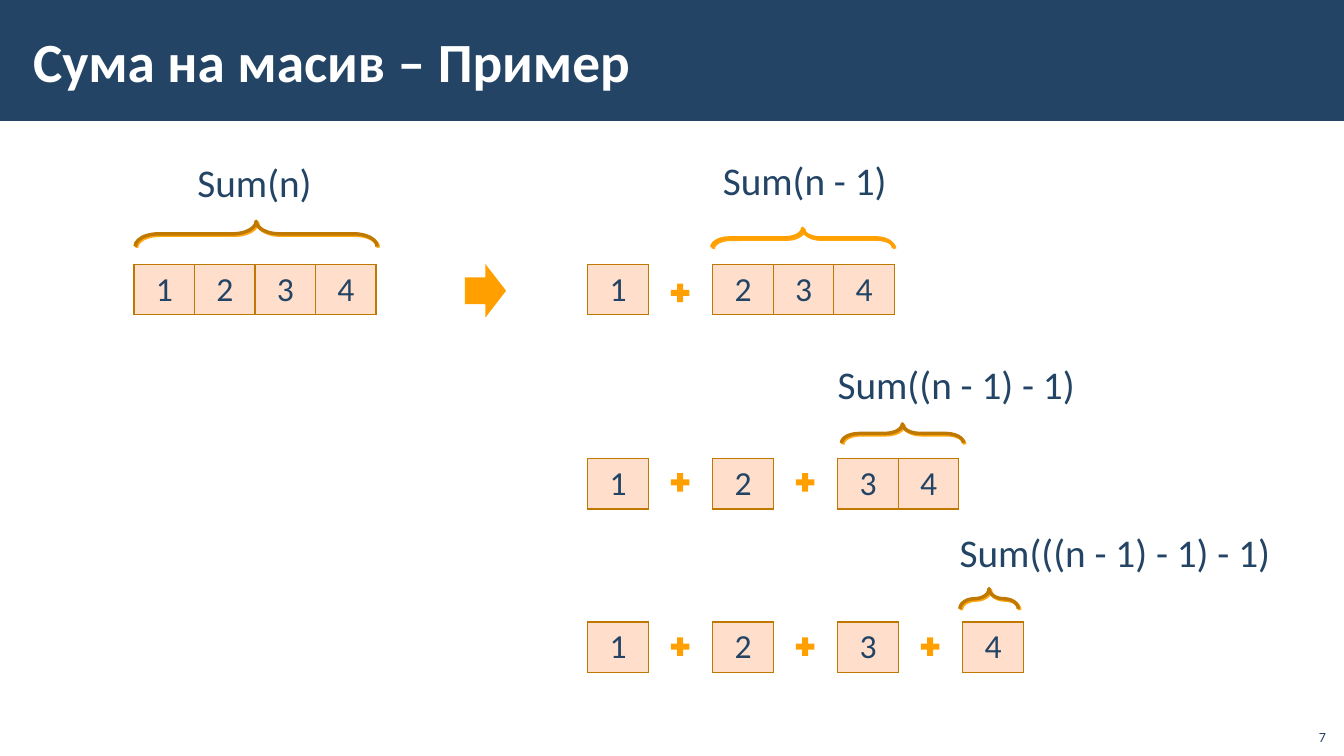
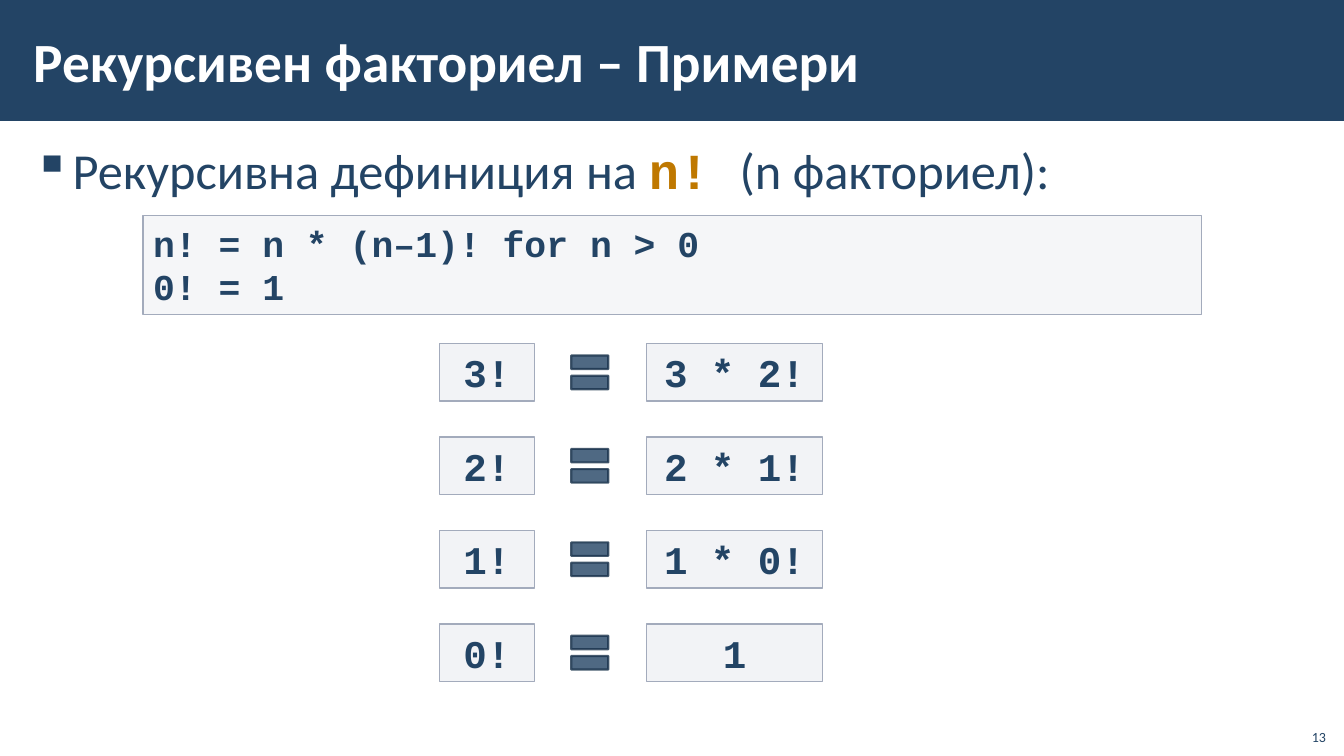
"""Build two slides on recursion: summing an array and the factorial."""
from dataclasses import dataclass

from lxml.etree import SubElement
from pptx import Presentation
from pptx.dml.color import RGBColor
from pptx.enum.shapes import MSO_SHAPE
from pptx.enum.text import MSO_ANCHOR, MSO_AUTO_SIZE, PP_ALIGN
from pptx.oxml.ns import qn
from pptx.presentation import Presentation as Deck
from pptx.shapes.autoshape import Shape
from pptx.slide import Slide
from pptx.table import _Cell
from pptx.text.text import TextFrame, _Paragraph
from pptx.util import Inches, Pt

NAVY = RGBColor(0x23, 0x44, 0x65)
DARK_NAVY = RGBColor(0x1A, 0x33, 0x4C)
WHITE = RGBColor(0xFF, 0xFF, 0xFF)
ORANGE = RGBColor(0xFF, 0xA0, 0x00)
GLOW = RGBColor(0xFF, 0xA6, 0x10)
BROWN = RGBColor(0xBF, 0x78, 0x00)
PEACH = RGBColor(0xFF, 0xDF, 0xCC)
GREY = RGBColor(0xC2, 0xC7, 0xD2)
GREY_LINE = RGBColor(0xA3, 0xAB, 0xBC)

TEXT_FONT = "Calibri"
CODE_FONT = "Courier New"

CELL_WIDTH, CELL_HEIGHT = 0.6, 0.5
STEP_LEFT, STEP_PITCH = 5.83, 1.24
PLUS_OFFSET, PLUS_SIZE = 0.79, 0.25


@dataclass(frozen=True)
class Box:
    """Hold a rectangle in inches."""
    left: float
    top: float
    width: float
    height: float

    def lengths(self) -> tuple[Inches, Inches, Inches, Inches]:
        """Return the rectangle as lengths."""
        return Inches(self.left), Inches(self.top), Inches(self.width), Inches(self.height)


@dataclass(frozen=True)
class Brace:
    """Describe a labelled brace by its centre, span and depth."""
    label: str
    label_box: Box
    centre_x: float
    centre_y: float
    span: float
    depth: float
    color: RGBColor = BROWN


@dataclass(frozen=True)
class Step:
    """Describe one row of added cell groups."""
    top: float
    plus_top: float
    groups: tuple[str, ...]


BRACES = (
    Brace("Sum(n)", Box(1.86, 1.52, 1.35, 0.57), 2.54, 2.32, 2.4, 0.25),
    Brace("Sum(n - 1)", Box(7.07, 1.5, 1.85, 0.57), 7.96, 2.36, 1.8, 0.19, ORANGE),
    Brace("Sum((n - 1) - 1)", Box(8.21, 3.53, 2.66, 0.57), 8.95, 4.3, 1.21, 0.19),
    Brace("Sum(((n - 1) - 1) - 1)", Box(9.42, 5.19, 3.4, 0.57), 9.81, 5.94, 0.58, 0.2),
)
STEPS = (
    Step(2.62, 2.78, ("1", "234")),
    Step(4.55, 4.66, ("1", "2", "34")),
    Step(6.17, 6.29, ("1", "2", "3", "4")),
)
FACTORIALS = (("3!", "3 * 2!"), ("2!", "2 * 1!"), ("1!", "1 * 0!"), ("0!", "1"))
FACTORIAL_TOP, FACTORIAL_LAST = 3.41, 6.19


def style_paragraph(paragraph: _Paragraph, size: float, color: RGBColor = NAVY,
                    font: str = TEXT_FONT, bold: bool = False) -> None:
    """Set the font of a paragraph."""
    paragraph.font.size = Pt(size)
    paragraph.font.name = font
    paragraph.font.bold = bold
    paragraph.font.color.rgb = color


def add_text(slide: Slide, box: Box, text: str, size: float, color: RGBColor = NAVY,
             bold: bool = False, wrap: bool = True, align: PP_ALIGN = PP_ALIGN.LEFT,
             anchor: MSO_ANCHOR = MSO_ANCHOR.TOP) -> TextFrame:
    """Add a text box with one paragraph."""
    frame = slide.shapes.add_textbox(*box.lengths()).text_frame
    frame.word_wrap = wrap
    frame.vertical_anchor = anchor
    paragraph = frame.paragraphs[0]
    paragraph.text = text
    paragraph.alignment = align
    style_paragraph(paragraph, size, color, bold=bold)
    return frame


def set_wide_margins(frame: TextFrame) -> None:
    """Set the margins shared by titles and body text."""
    frame.margin_left = frame.margin_right = Inches(0.12)
    frame.margin_top = frame.margin_bottom = Inches(0.04)


def set_opacity(shape: Shape, percent: int) -> None:
    """Make the fill of a shape partly transparent."""
    color = shape._element.spPr.find(qn("a:solidFill")).find(qn("a:srgbClr"))
    SubElement(color, qn("a:alpha"), val=str(percent * 1000))


def add_solid(slide: Slide, kind: MSO_SHAPE, box: Box, fill: RGBColor) -> Shape:
    """Add a filled shape without outline or shadow."""
    shape = slide.shapes.add_shape(kind, *box.lengths())
    shape.shadow.inherit = False
    shape.fill.solid()
    shape.fill.fore_color.rgb = fill
    shape.line.fill.background()
    return shape


def add_slide(presentation: Deck, title: str, number: int) -> Slide:
    """Add a slide with its band, title and number."""
    slide = presentation.slides.add_slide(presentation.slide_layouts[6])
    add_solid(slide, MSO_SHAPE.RECTANGLE, Box(0, 0, 13.33, 1.2), NAVY)
    frame = add_text(slide, Box(0.21, 0.11, 11.23, 0.97), title, 39.5, WHITE,
                     bold=True, anchor=MSO_ANCHOR.MIDDLE)
    set_wide_margins(frame)
    add_text(slide, Box(12.85, 7.12, 0.4, 0.32), str(number), 10,
             align=PP_ALIGN.RIGHT, anchor=MSO_ANCHOR.BOTTOM)
    return slide


def add_cell_borders(cell: _Cell) -> None:
    """Draw a thin border on all four sides of a cell."""
    properties = cell._tc.get_or_add_tcPr()
    for position, side in enumerate(("a:lnL", "a:lnR", "a:lnT", "a:lnB")):
        line = SubElement(properties, qn(side), w=str(Pt(1)))
        fill = SubElement(line, qn("a:solidFill"))
        SubElement(fill, qn("a:srgbClr"), val=str(BROWN))
        properties.insert(position, line)


def add_array(slide: Slide, left: float, top: float, values: str) -> None:
    """Add a one-row table with one cell for each value."""
    box = Box(left, top, CELL_WIDTH * len(values), CELL_HEIGHT)
    table = slide.shapes.add_table(1, len(values), *box.lengths()).table
    table.first_row = False
    table.horz_banding = False
    for cell, value in zip(table.iter_cells(), values):
        cell.fill.solid()
        cell.fill.fore_color.rgb = PEACH
        add_cell_borders(cell)
        paragraph = cell.text_frame.paragraphs[0]
        paragraph.text = value
        paragraph.alignment = PP_ALIGN.CENTER
        style_paragraph(paragraph, 24)


def add_brace(slide: Slide, brace: Brace) -> None:
    """Add an upward brace with a hard shadow and its label."""
    box = Box(brace.centre_x - brace.depth / 2, brace.centre_y - brace.span / 2,
              brace.depth, brace.span)
    shape = slide.shapes.add_shape(MSO_SHAPE.LEFT_BRACE, *box.lengths())
    shape.rotation = 90
    shape.adjustments[0] = 0.919
    shape.fill.background()
    shape.line.color.rgb = brace.color
    shape.line.width = Pt(2.5)
    shape.shadow.inherit = False
    effects = shape._element.spPr.find(qn("a:effectLst"))
    shadow = SubElement(effects, qn("a:outerShdw"), blurRad="0", dist=str(Pt(1.4)),
                        dir="2700000", algn="tl", rotWithShape="0")
    SubElement(shadow, qn("a:srgbClr"), val=str(GLOW))
    frame = add_text(slide, brace.label_box, brace.label, 28, wrap=False)
    frame.auto_size = MSO_AUTO_SIZE.SHAPE_TO_FIT_TEXT


def add_step(slide: Slide, step: Step) -> None:
    """Add the arrays of a step with plus signs between them."""
    for index, values in enumerate(step.groups):
        left = STEP_LEFT + index * STEP_PITCH
        add_array(slide, left, step.top, values)
        if index < len(step.groups) - 1:
            box = Box(left + PLUS_OFFSET, step.plus_top, PLUS_SIZE, PLUS_SIZE)
            add_solid(slide, MSO_SHAPE.MATH_PLUS, box, ORANGE)


def add_code(slide: Slide, box: Box, lines: tuple[str, ...], size: float, opacity: int,
             align: PP_ALIGN = PP_ALIGN.CENTER) -> None:
    """Add a pale outlined box of code."""
    shape = add_solid(slide, MSO_SHAPE.RECTANGLE, box, GREY)
    set_opacity(shape, opacity)
    shape.line.color.rgb = GREY_LINE
    shape.line.width = Pt(1)
    frame = shape.text_frame
    frame.word_wrap = True
    frame.vertical_anchor = MSO_ANCHOR.TOP
    frame.text = "\n".join(lines)
    for paragraph in frame.paragraphs:
        paragraph.alignment = align
        style_paragraph(paragraph, size, font=CODE_FONT, bold=True)


def add_equals(slide: Slide, box: Box) -> None:
    """Add a translucent equals sign."""
    shape = add_solid(slide, MSO_SHAPE.MATH_EQUAL, box, NAVY)
    set_opacity(shape, 80)
    shape.line.color.rgb = DARK_NAVY
    shape.line.width = Pt(1.5)
    color = shape.line._ln.find(qn("a:solidFill")).find(qn("a:srgbClr"))
    SubElement(color, qn("a:alpha"), val="80000")


def add_definition(slide: Slide) -> None:
    """Add the bulleted line that introduces the definition."""
    frame = slide.shapes.add_textbox(*Box(0.21, 1.31, 12.92, 0.8).lengths()).text_frame
    frame.word_wrap = True
    set_wide_margins(frame)
    paragraph = frame.paragraphs[0]
    paragraph.line_spacing = 1.05
    paragraph.space_after = Pt(6)
    properties = paragraph._p.get_or_add_pPr()
    properties.set("marL", str(Inches(0.39)))
    properties.set("indent", str(-Inches(0.39)))
    SubElement(properties, qn("a:buChar"), char="▪")
    style_paragraph(paragraph, 36)
    for text, is_code in (("Рекурсивна дефиниция на ", False), ("n! ", True),
                          ("(n факториел):", False)):
        run = paragraph.add_run()
        run.text = text
        if is_code:
            run.font.name = CODE_FONT
            run.font.bold = True
            run.font.color.rgb = BROWN


def build_sum_slide(presentation: Deck) -> None:
    """Build the slide that sums an array step by step."""
    slide = add_slide(presentation, "Сума на масив – Пример", 7)
    add_array(slide, 1.33, 2.62, "1234")
    add_solid(slide, MSO_SHAPE.RIGHT_ARROW, Box(4.61, 2.62, 0.41, 0.53), ORANGE)
    for step in STEPS:
        add_step(slide, step)
    for brace in BRACES:
        add_brace(slide, brace)


def build_factorial_slide(presentation: Deck) -> None:
    """Build the slide that unfolds the factorial."""
    slide = add_slide(presentation, "Рекурсивен факториел – Примери", 13)
    add_definition(slide)
    add_code(slide, Box(1.42, 2.14, 10.5, 0.98),
             ("n! = n * (n–1)! for n > 0", "0! = 1"), 26, 15, PP_ALIGN.LEFT)
    pitch = (FACTORIAL_LAST - FACTORIAL_TOP) / (len(FACTORIALS) - 1)
    for index, (factorial, product) in enumerate(FACTORIALS):
        top = FACTORIAL_TOP + index * pitch
        add_code(slide, Box(4.36, top, 0.94, 0.57), (factorial,), 28, 20)
        add_equals(slide, Box(5.6, top, 0.5, 0.57))
        add_code(slide, Box(6.41, top, 1.75, 0.57), (product,), 28, 20)


def main() -> None:
    """Build and save the presentation."""
    presentation = Presentation()
    presentation.slide_width = Inches(13.33)
    presentation.slide_height = Inches(7.5)
    build_sum_slide(presentation)
    build_factorial_slide(presentation)
    presentation.save("out.pptx")


if __name__ == "__main__":
    main()
